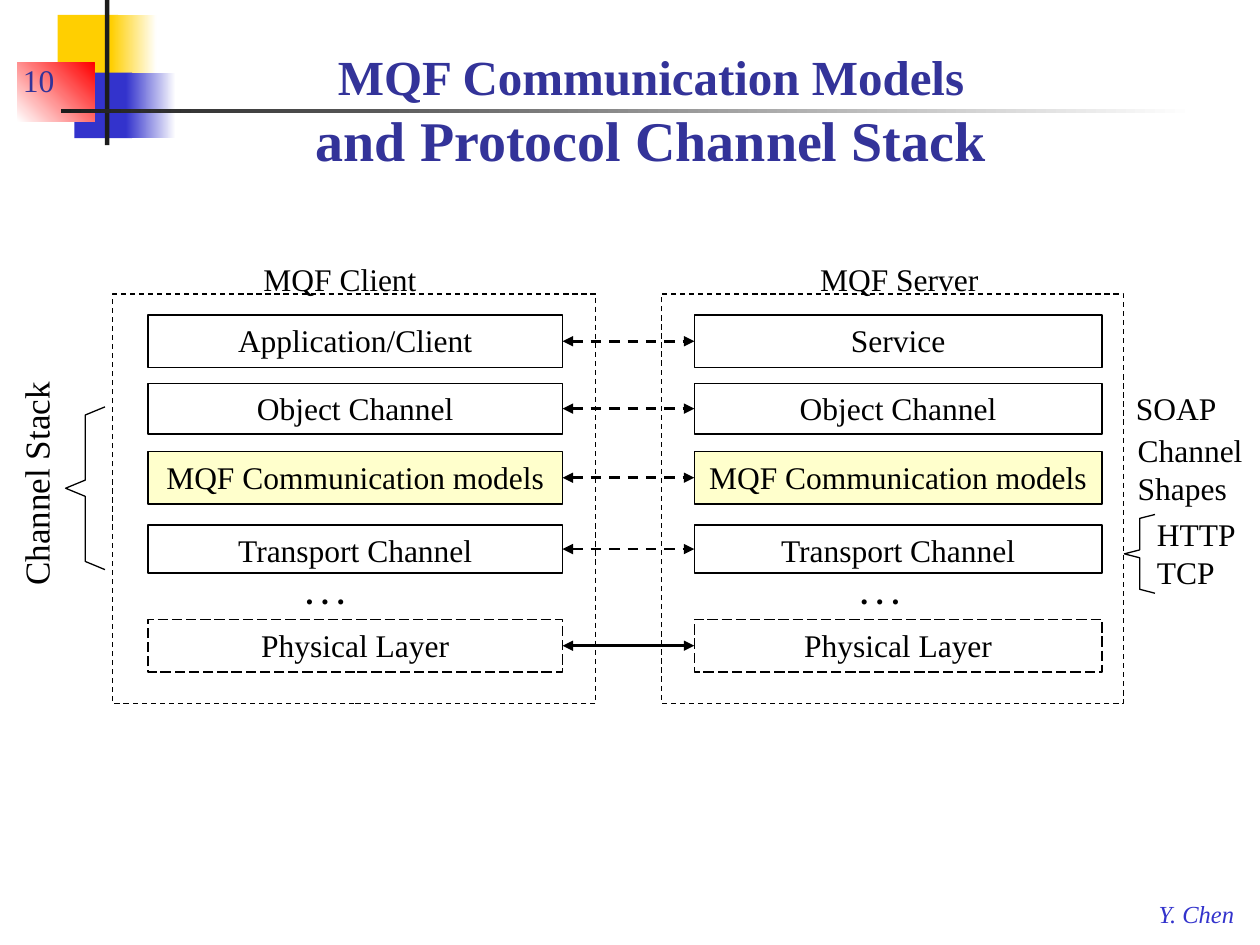
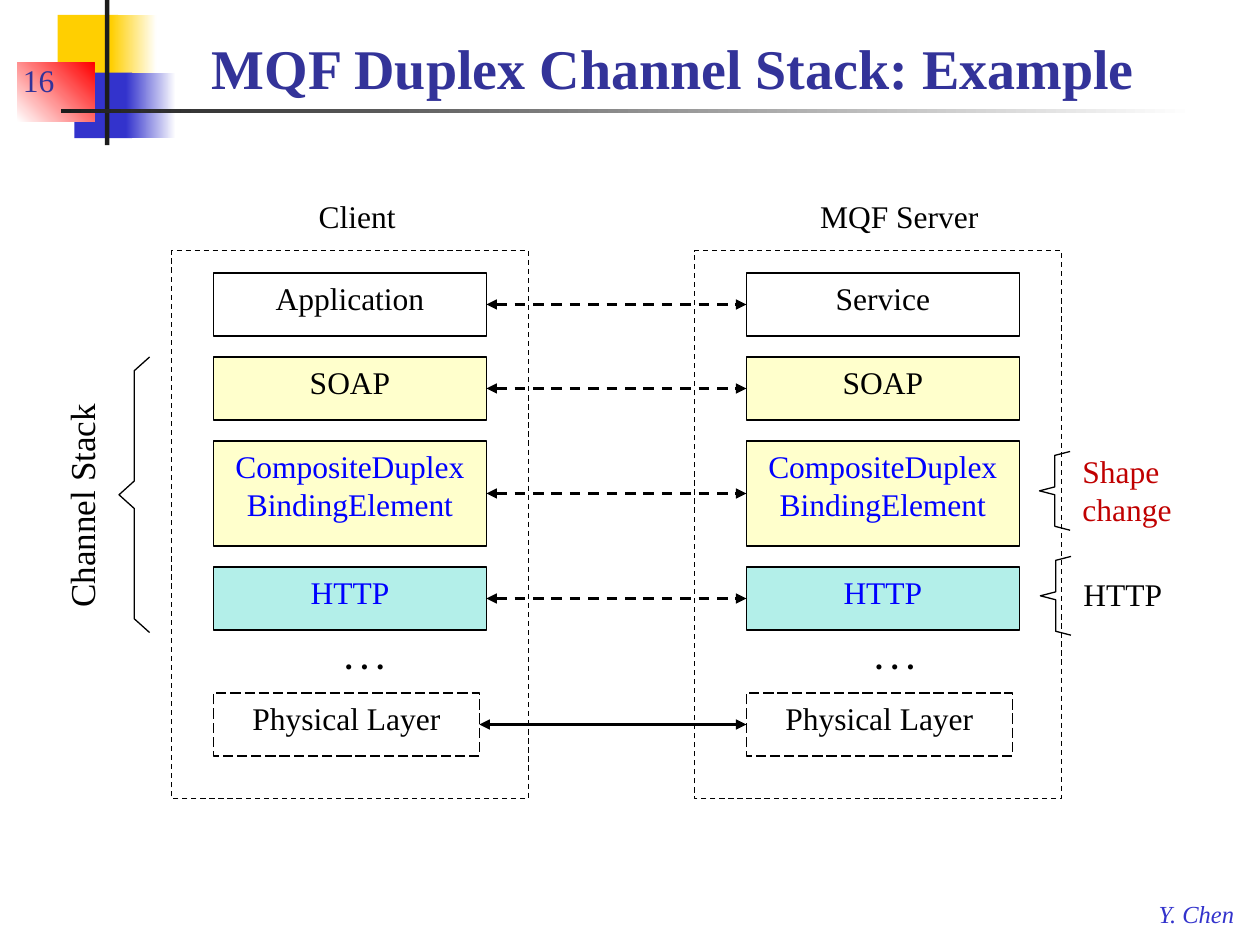
from pptx import Presentation
from pptx.dml.color import RGBColor
from pptx.enum.dml import MSO_LINE
from pptx.enum.shapes import MSO_CONNECTOR, MSO_SHAPE
from pptx.enum.text import MSO_ANCHOR, PP_ALIGN
from pptx.oxml.ns import qn
from pptx.util import Pt
from lxml.etree import SubElement

FONT = "Times New Roman"
COLORS = {
    "white": "FFFFFF", "black": "000000", "charcoal": "1C1C1C",
    "gold": "FFCF01", "blue": "3333CC", "red": "FF0000",
    "title": "333399", "cream": "FFFFCC", "aqua": "B3EFE9",
    "link": "0000FF", "crimson": "C00000",
}
RGB = {name: RGBColor.from_string(code) for name, code in COLORS.items()}


def add_span(para, text, size=18, color="black", bold=False, italic=False):
    span = para.add_run()
    span.text = text
    span.font.name = FONT
    span.font.size = Pt(size)
    span.font.color.rgb = RGB[color]
    span.font.bold = bold
    span.font.italic = italic


def add_box(page, area, lines, fill=None, dash=None, wrap=True,
            align=PP_ALIGN.LEFT, anchor=MSO_ANCHOR.TOP, **style):
    place = [Pt(value) for value in area]
    if fill:
        box = page.shapes.add_shape(MSO_SHAPE.RECTANGLE, *place)
        box.shadow.inherit = False
        box.fill.solid()
        box.fill.fore_color.rgb = RGB[fill]
        box.line.color.rgb = RGB["black"]
        box.line.width = Pt(0.75)
        box.line.dash_style = dash
    else:
        box = page.shapes.add_textbox(*place)
    frame = box.text_frame
    frame.word_wrap = wrap
    frame.vertical_anchor = anchor
    frame.paragraphs[0].alignment = align
    for index, line in enumerate(lines):
        para = frame.add_paragraph() if index else frame.paragraphs[0]
        para.alignment = align
        add_span(para, line, **style)
    return box


DECORATIONS = [
    ((33, 8.5, 34.5, 37.5), ["gold"], 0),
    ((63.5, 8.5, 26, 37.5), ["gold", "white"], 0),
    ((42.5, 41.5, 33, 37.5), ["blue"], 0),
    ((72, 41.5, 28.5, 37.5), ["blue", "white"], 0),
    ((10, 36, 44, 33.5), ["white", "red"], 45),
    ((60, 0, 2.5, 83), ["charcoal"], 0),
    ((35, 62.25, 648, 2.25), ["charcoal", "white"], 0),
]

SLIDES = [
    {
        "number": "10",
        "title_area": (114, 12, 516, 90),
        "title_align": PP_ALIGN.CENTER,
        "title": [("MQF Communication Models", 28), ("and Protocol Channel Stack", 32)],
        "frames": [(64.5, 168, 276, 234), (378, 168, 264, 234)],
        "columns": [(84.5, 237), (396.75, 233)],
        "rows": [
            (180, 30, "Application/Client", "Service", "white", "black"),
            (219, 29, "Object Channel", "Object Channel", "white", "black"),
            (258, 30, "MQF Communication models", "MQF Communication models", "cream", "black"),
            (300, 27.5, "Transport Channel", "Transport Channel", "white", "black"),
        ],
        "physical": (354, 30, 0),
        "labels": [
            ((143.5, 145, 103, 29), ["MQF Client"], {}),
            ((461.5, 145, 106, 29), ["MQF Server"], {}),
            ((167.5, 324, 37.5, 29), [". . ."], {"bold": True}),
            ((484.5, 324, 37.5, 29), [". . ."], {"bold": True}),
            ((642, 219, 61, 29), ["SOAP"], {}),
            ((643, 243, 77, 51), ["Channel Shapes"], {"wrap": True}),
            ((654, 291, 60, 51), ["HTTP", "TCP"], {}),
        ],
        "stack_label": (-45.5, 260, 132, 31.5),
        "brackets": [(37.5, 232.5, 22.5, 93), (642.5, 294, 17.5, 45)],
    },
    {
        "number": "16",
        "title_area": (114, 12, 600, 49),
        "title_align": PP_ALIGN.LEFT,
        "title": [("MQF Duplex Channel Stack: Example", 32)],
        "frames": [(98, 143.25, 204, 313), (396.75, 143.25, 210, 313)],
        "columns": [(122, 156), (426.5, 156)],
        "rows": [
            (156, 36, "Application", "Service", "white", "black"),
            (204, 36, "SOAP", "SOAP", "cream", "black"),
            (252, 60, "CompositeDuplexBindingElement", "CompositeDuplexBindingElement", "cream", "link"),
            (324, 36, "HTTP", "HTTP", "aqua", "link"),
        ],
        "physical": (396, 36, 4),
        "labels": [
            ((175, 109, 59, 29), ["Client"], {}),
            ((461.5, 109, 106, 29), ["MQF Server"], {}),
            ((190, 361, 37.5, 29), [". . ."], {"bold": True}),
            ((493, 361, 37.5, 29), [". . ."], {"bold": True}),
            ((612, 325, 60, 29), ["HTTP"], {}),
            ((611.5, 255, 66, 51), ["Shape", "change"], {"color": "crimson"}),
        ],
        "stack_label": (-19.5, 272.5, 132, 31.5),
        "brackets": [(68, 204, 17.5, 157.5), (594.5, 318, 17.5, 45), (594, 258, 17.5, 45)],
    },
]

deck = Presentation()
deck.slide_width = Pt(720)
deck.slide_height = Pt(540)

for content in SLIDES:
    page = deck.slides.add_slide(deck.slide_layouts[6])

    for area, tones, angle in DECORATIONS:
        block = page.shapes.add_shape(MSO_SHAPE.RECTANGLE, *[Pt(value) for value in area])
        block.shadow.inherit = False
        block.line.fill.background()
        if len(tones) == 1:
            block.fill.solid()
            block.fill.fore_color.rgb = RGB[tones[0]]
        else:
            block.fill.gradient()
            block.fill.gradient_angle = angle
            for stop, tone in zip(block.fill.gradient_stops, tones):
                stop.color.rgb = RGB[tone]

    add_box(page, (655, 510, 59, 24), ["Y. Chen"], wrap=False, size=14, color="blue", italic=True)
    title = add_box(page, content["title_area"], [], align=content["title_align"],
                    anchor=MSO_ANCHOR.BOTTOM)
    para = title.text_frame.paragraphs[0]
    for index, (text, size) in enumerate(content["title"]):
        if index:
            para.add_line_break()
        add_span(para, text, size, "title", bold=True)
    add_box(page, (6, 24, 54, 36), [content["number"]], anchor=MSO_ANCHOR.BOTTOM, color="title")

    for area in content["frames"]:
        add_box(page, area, [], fill="white", dash=MSO_LINE.DASH)

    (client_left, client_width), (server_left, server_width) = content["columns"]
    physical_top, physical_height, trim = content["physical"]
    layers = [(*row, 0, None, MSO_LINE.DASH) for row in content["rows"]]
    layers.append((physical_top, physical_height, "Physical Layer", "Physical Layer",
                   "white", "black", trim, MSO_LINE.LONG_DASH, None))
    for top, height, client, server, fill, color, inset, border, arrow_dash in layers:
        for left, width, text in ((client_left, client_width, client),
                                  (server_left, server_width, server)):
            add_box(page, (left, top, width - inset, height), [text], fill=fill, dash=border,
                    align=PP_ALIGN.CENTER, color=color)
        middle = Pt(top + height / 2)
        arrow = page.shapes.add_connector(MSO_CONNECTOR.STRAIGHT,
                                          Pt(client_left + client_width - inset), middle,
                                          Pt(server_left), middle)
        arrow.line.color.rgb = RGB["black"]
        arrow.line.width = Pt(1.5)
        arrow.line.dash_style = arrow_dash
        outline = arrow.line._get_or_add_ln()
        for end in ("a:headEnd", "a:tailEnd"):
            SubElement(outline, qn(end), type="triangle")
        SubElement(arrow._element.spPr, qn("a:effectLst"))

    for area, lines, style in content["labels"]:
        add_box(page, area, lines, **{"wrap": False, **style})
    stack_label = add_box(page, content["stack_label"], ["Channel Stack"], wrap=False, size=20)
    stack_label.rotation = 270

    for left, top, width, height in content["brackets"]:
        right, spine = left + width, left + width / 2
        center, bottom, bend = top + height / 2, top + height, height / 20
        corners = [(spine, top + bend), (spine, center - bend), (left, center),
                   (spine, center + bend), (spine, bottom - bend), (right, bottom)]
        builder = page.shapes.build_freeform(Pt(right), Pt(top))
        builder.add_line_segments([(Pt(x), Pt(y)) for x, y in corners], close=False)
        bracket = builder.convert_to_shape()
        bracket.shadow.inherit = False
        bracket.fill.background()
        bracket.line.color.rgb = RGB["black"]
        bracket.line.width = Pt(0.75)

deck.save("out.pptx")
